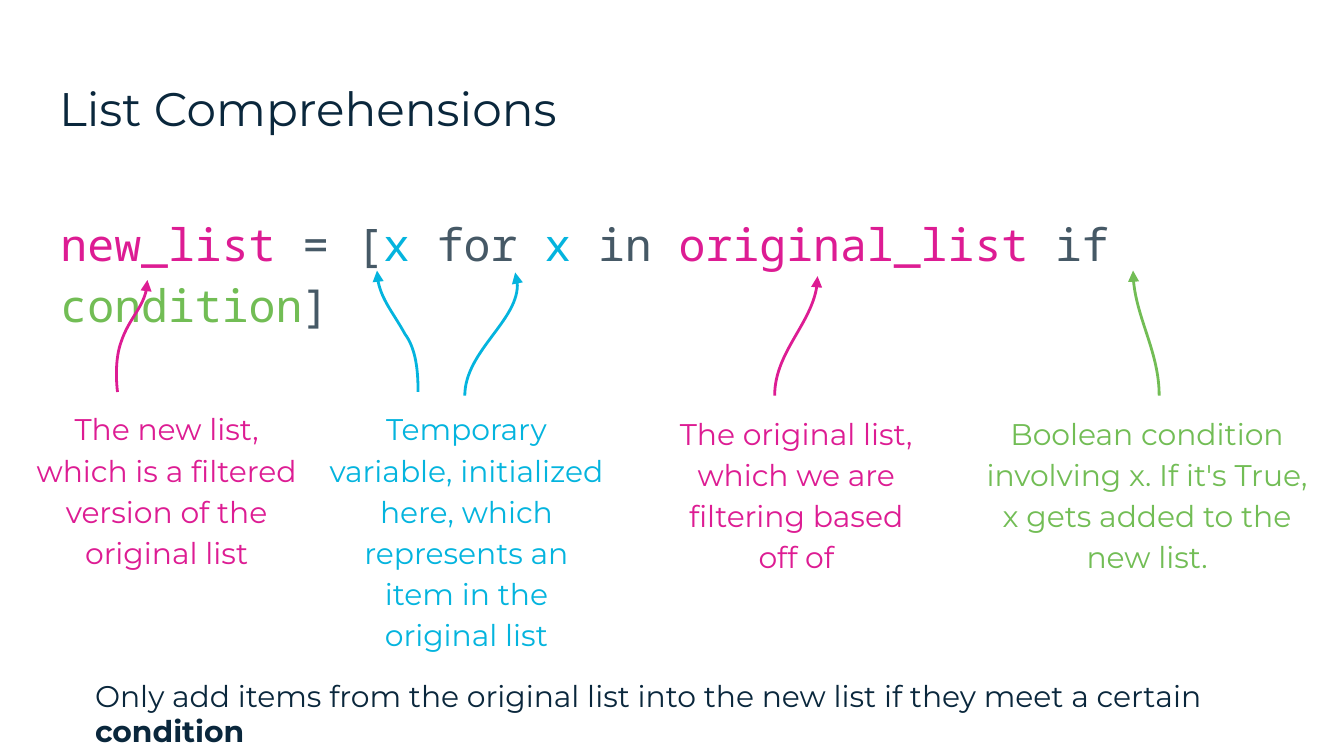
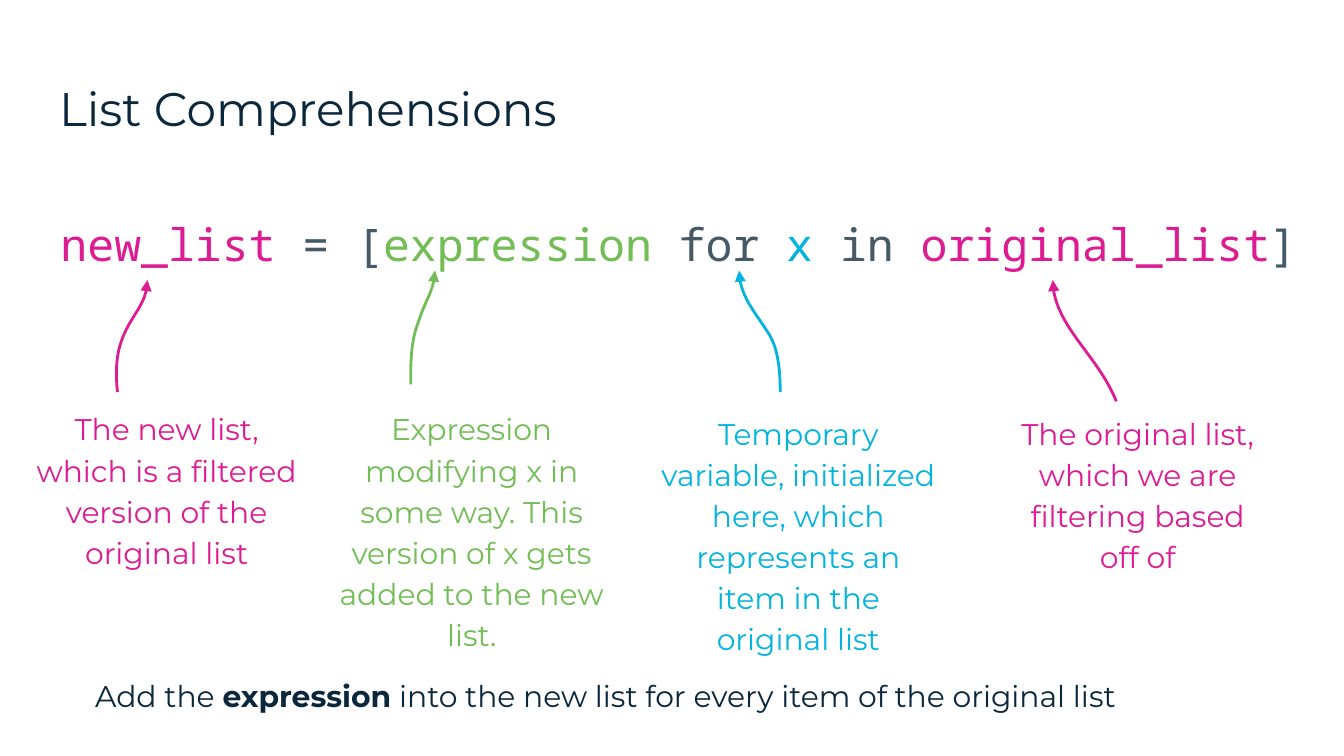
from dataclasses import dataclass

from lxml.etree import SubElement
from pptx import Presentation
from pptx.dml.color import RGBColor
from pptx.enum.text import MSO_ANCHOR, MSO_AUTO_SIZE, PP_ALIGN
from pptx.oxml.ns import qn
from pptx.util import Pt


@dataclass(frozen=True)
class Theme:
    navy: str = "0A273C"
    slate: str = "465966"
    pink: str = "DD1C93"
    cyan: str = "04B4DE"
    green: str = "72BD55"
    prose: str = "Montserrat"
    mono: str = "Noto Sans Mono"
    title_size: float = 25.2
    code_size: float = 24
    note_size: float = 16
    inset: float = 7.2
    arrow_width: float = 1.5
    line_spacing: float = 1.15


theme = Theme()


def write(shape, runs, size, colour=None, face=theme.prose, align=PP_ALIGN.LEFT,
          spacing=1.0, fit=MSO_AUTO_SIZE.SHAPE_TO_FIT_TEXT):
    """Fill the first paragraph with (text, colour, bold) runs; colour=None means per run."""
    frame = shape.text_frame
    frame.word_wrap = True
    frame.auto_size = fit
    frame.vertical_anchor = MSO_ANCHOR.TOP
    frame.margin_left = frame.margin_right = Pt(theme.inset)
    frame.margin_top = frame.margin_bottom = Pt(theme.inset)
    paragraph = frame.paragraphs[0]
    paragraph.alignment = align
    paragraph.line_spacing = spacing
    paragraph.space_before = Pt(0)
    paragraph.font.name = face
    paragraph.font.size = Pt(size)
    if colour:
        paragraph.font.color.rgb = RGBColor.from_string(colour)
    for text, run_colour, bold in runs:
        run = paragraph.add_run()
        run.text = text
        if run_colour:
            run.font.color.rgb = RGBColor.from_string(run_colour)
        if bold:
            run.font.bold = True
    return paragraph


def draw_arrow(slide, points, colour):
    """Draw chained cubic curves (start, then three points per curve), tip at the end."""
    builder = slide.shapes.build_freeform(*points[0], scale=Pt(1))
    builder.add_line_segments(points[1:], close=False)
    arrow = builder.convert_to_shape()
    arrow.shadow.inherit = False
    arrow.fill.background()
    arrow.line.color.rgb = RGBColor.from_string(colour)
    arrow.line.width = Pt(theme.arrow_width)
    SubElement(arrow.line._get_or_add_ln(), qn("a:tailEnd"), type="triangle")
    # Each three straight steps become the control points of one curve.
    steps = list(arrow.element.iter(qn("a:lnTo")))
    for first in range(0, len(steps), 3):
        curve = SubElement(steps[first].getparent(), qn("a:cubicBezTo"))
        for step in steps[first:first + 3]:
            curve.append(step[0])
            step.getparent().remove(step)


new_list_note = "The new list, which is a filtered version of the original list"
variable_note = ("Temporary variable, initialized here, which represents "
                 "an item in the original list")
original_note = "The original list, which we are filtering based off of"
condition_note = ("Boolean condition involving x. If it's True, "
                  "x gets added to the new list.")
expression_note = ("Expression modifying x in some way. This version of x "
                   "gets added to the new list.")

new_list_arrow = [(63.4, 210.2), (61.9, 201.6), (61.9, 190.8), (64.8, 182.9),
                  (69.1, 171.4), (79.2, 162.7), (79.2, 149.8)]
variable_arrow = [(223.9, 210.2), (223.9, 199.4), (223.2, 187.2), (217.4, 178.6),
                  (211, 167.8), (201.6, 157.7), (201.6, 144.7)]
second_variable_arrow = [(249.1, 211.7), (249.1, 187.9), (284.4, 167.8), (275.8, 146.2)]
moved_variable_arrow = [(x + 194.2, y) for x, y in variable_arrow]
filter_original_arrow = [(415.4, 212.4), (415.4, 189.4), (437.8, 170.6), (437.8, 147.6)]
map_original_arrow = [(597.6, 215.3), (589, 192.2), (564.5, 173.5), (564.5, 149.8)]
condition_arrow = [(620.6, 212.4), (620.6, 189.4), (607, 167.8), (607, 144.7)]
expression_arrow = [(220.3, 205.9), (220.3, 195.1), (220.3, 182.9), (223.9, 172.8),
                    (226.8, 163.4), (233.3, 154.8), (233.3, 144.7)]

upper, lower = 210.2, 212.4  # tops of the callouts
new_list_callout = (new_list_note, theme.pink, (10.8, upper, 157, 100.8), [new_list_arrow])

# Each lesson: code runs, callouts (note, colour, box, arrows), summary runs.
lessons = [
    (
        [("new_list", theme.pink), (" = [", theme.slate), ("x", theme.cyan),
         (" for ", theme.slate), ("x", theme.cyan), (" in ", theme.slate),
         ("original_list", theme.pink), (" if ", theme.slate),
         ("condition", theme.green), ("]", theme.slate)],
        [new_list_callout,
         (variable_note, theme.cyan, (167.8, upper, 164.2, 123.1),
          [variable_arrow, second_variable_arrow]),
         (original_note, theme.pink, (352.1, lower, 149, 100.8), [filter_original_arrow]),
         (condition_note, theme.green, (521.3, lower, 186.5, 100.8), [condition_arrow])],
        [("Only add items from the original list into the new list "
          "if they meet a certain ", False), ("condition", True)],
    ),
    (
        [("new_list", theme.pink), (" = [", theme.slate), ("expression", theme.green),
         (" for ", theme.slate), ("x", theme.cyan), (" in ", theme.slate),
         ("original_list", theme.pink), ("]", theme.slate)],
        [new_list_callout,
         (variable_note, theme.cyan, (345.6, lower, 164.2, 123.1), [moved_variable_arrow]),
         (original_note, theme.pink, (535, lower, 149, 100.8), [map_original_arrow]),
         (expression_note, theme.green, (170.6, upper, 164.2, 145.4), [expression_arrow])],
        [("Add the ", False), ("expression", True),
         (" into the new list for every item of the original list", False)],
    ),
]

deck = Presentation()
deck.slide_width, deck.slide_height = Pt(720), Pt(405)
lesson_layout = deck.slide_layouts[1]

for code_runs, callouts, summary_runs in lessons:
    slide = deck.slides.add_slide(lesson_layout)

    title = slide.shapes.title
    title.left, title.top, title.width, title.height = Pt(24.5), Pt(35.3), Pt(671), Pt(45.4)
    write(title, [("List Comprehensions", None, False)], theme.title_size, theme.navy,
          fit=MSO_AUTO_SIZE.NONE)

    code = slide.placeholders[1]
    code.left, code.top, code.width, code.height = Pt(25.2), Pt(104.4), Pt(677.5), Pt(45.4)
    code_properties = code.text_frame.paragraphs[0]._p.get_or_add_pPr()
    code_properties.set("marL", "0")
    code_properties.set("indent", "0")
    SubElement(code_properties, qn("a:buNone"))
    code_line = write(code, [(text, colour, False) for text, colour in code_runs],
                      theme.code_size, face=theme.mono, spacing=theme.line_spacing,
                      fit=MSO_AUTO_SIZE.NONE)
    code_line.space_after = Pt(12)

    for note, colour, box, arrows in callouts:
        for points in arrows:
            draw_arrow(slide, points, colour)
        callout = slide.shapes.add_textbox(*map(Pt, box))
        write(callout, [(note, None, False)], theme.note_size, colour,
              align=PP_ALIGN.CENTER, spacing=theme.line_spacing)

    summary = slide.shapes.add_textbox(Pt(43.9), Pt(355.7), Pt(676), Pt(33.8))
    write(summary, [(text, None, bold) for text, bold in summary_runs],
          theme.note_size, theme.navy)

deck.save("out.pptx")
